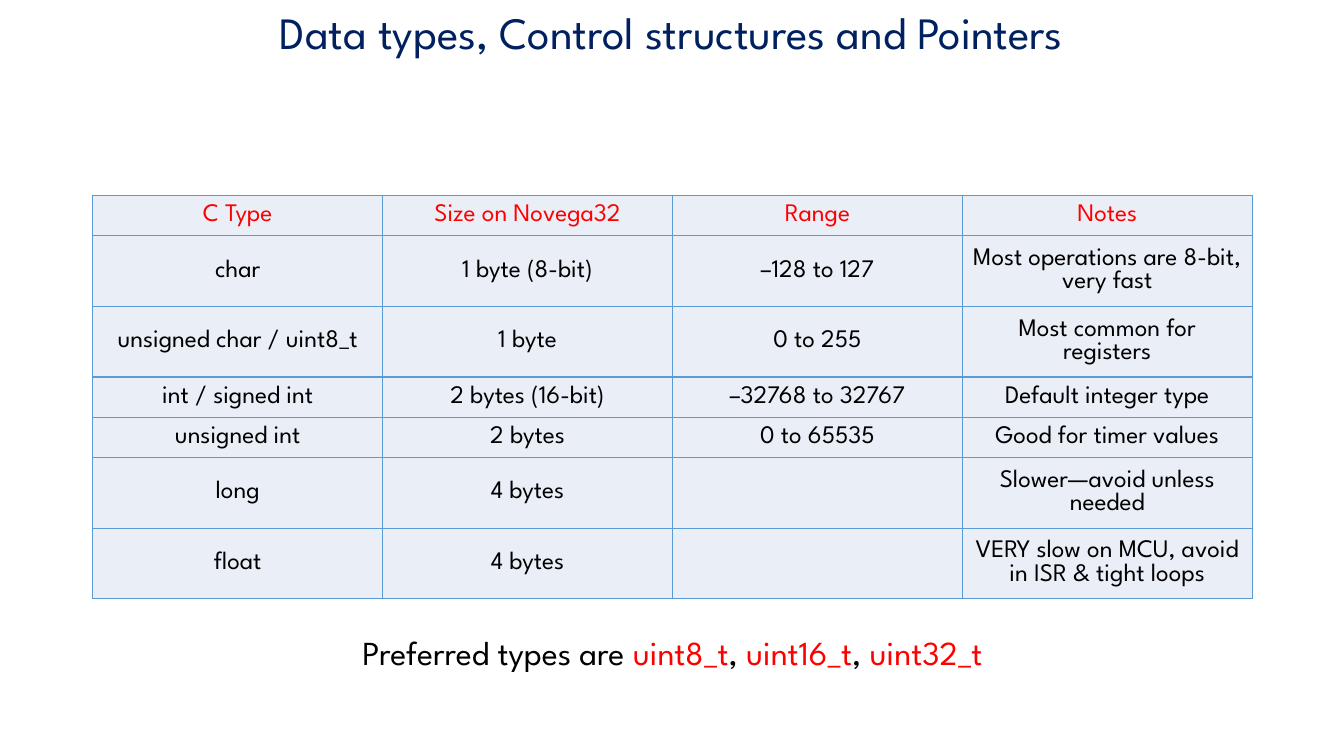
from lxml.etree import SubElement
from pptx import Presentation
from pptx.dml.color import RGBColor
from pptx.enum.text import MSO_ANCHOR as Anchor, MSO_AUTO_SIZE as AutoSize, PP_ALIGN as Align
from pptx.oxml.ns import qn
from pptx.util import Inches, Pt

# Content
TITLE = "Data types, Control structures and Pointers"
TYPE_ROWS = [
    ("C Type", "Size on Novega32", "Range", "Notes"),
    ("char", "1 byte (8-bit)", "–128 to 127", "Most operations are 8-bit, very fast"),
    ("unsigned char / uint8_t", "1 byte", "0 to 255", "Most common for registers"),
    ("int / signed int", "2 bytes (16-bit)", "–32768 to 32767", "Default integer type"),
    ("unsigned int", "2 bytes", "0 to 65535", "Good for timer values"),
    ("long", "4 bytes", "", "Slower—avoid unless needed"),
    ("float", "4 bytes", "", "VERY slow on MCU, avoid in ISR & tight loops"),
]
PREFERRED = ["uint8_t", "uint16_t", "uint32_t"]

# Format
FONT = "League Spartan"
NAVY, RED, BLACK = "002060", "FF0000", "000000"
CELL_FILL, BORDER = "EAEFF7", "5B9BD5"
TABLE_LEFT, TABLE_TOP, TABLE_WIDTH = 0.92, 1.94, 11.5
ONE_LINE, TWO_LINES, LINE_LIMIT = 0.4, 0.7, 24


def color(value):
    return RGBColor.from_string(value)


def write(frame, spans, size):
    """Fill a text frame with one centred paragraph of (text, colour) spans."""
    frame.word_wrap = True
    para = frame.paragraphs[0]
    para.alignment = Align.CENTER
    for text, hue in spans:
        span = para.add_run()
        span.text = text
        for name, value in {"name": FONT, "size": Pt(size), "bold": False}.items():
            setattr(span.font, name, value)
        span.font.color.rgb = color(hue)


def add_borders(cell):
    properties = cell._tc.get_or_add_tcPr()
    for side in ("lnL", "lnR", "lnT", "lnB"):
        line = SubElement(properties, qn(f"a:{side}"), w=str(Pt(1)))
        fill = SubElement(line, qn("a:solidFill"))
        SubElement(fill, qn("a:srgbClr"), val=BORDER)


deck = Presentation()
deck.slide_width, deck.slide_height = Inches(13.33), Inches(7.5)
page = deck.slides.add_slide(deck.slide_layouts[5])

# Title
title = page.shapes.title
title_place = {"left": 0, "top": 0, "width": 13.33, "height": 0.64}
for name, value in title_place.items():
    setattr(title, name, Inches(value))
title.text_frame.auto_size = AutoSize.NONE
title.text_frame.vertical_anchor = Anchor.TOP
write(title.text_frame, [(TITLE, NAVY)], 32)

# Table of types: rows with a long note are two lines high
heights = [TWO_LINES if len(row[-1]) > LINE_LIMIT else ONE_LINE for row in TYPE_ROWS]
table = page.shapes.add_table(
    len(TYPE_ROWS), len(TYPE_ROWS[0]), Inches(TABLE_LEFT), Inches(TABLE_TOP),
    Inches(TABLE_WIDTH), Inches(sum(heights))).table
for row_index, (texts, height) in enumerate(zip(TYPE_ROWS, heights)):
    table.rows[row_index].height = Inches(height)
    for column_index, text in enumerate(texts):
        cell = table.cell(row_index, column_index)
        add_borders(cell)
        cell.fill.solid()
        cell.fill.fore_color.rgb = color(CELL_FILL)
        cell.vertical_anchor = Anchor.MIDDLE
        if text:
            write(cell.text_frame, [(text, BLACK if row_index else RED)], 18)

# Closing line with the preferred types in red
spans = []
for index, type_name in enumerate(PREFERRED):
    spans += [(", " if index else "Preferred types are ", BLACK), (type_name, RED)]
box = page.shapes.add_textbox(Inches(0.67), Inches(6.22), Inches(12), Inches(0.5))
write(box.text_frame, spans, 24)

deck.save("out.pptx")
